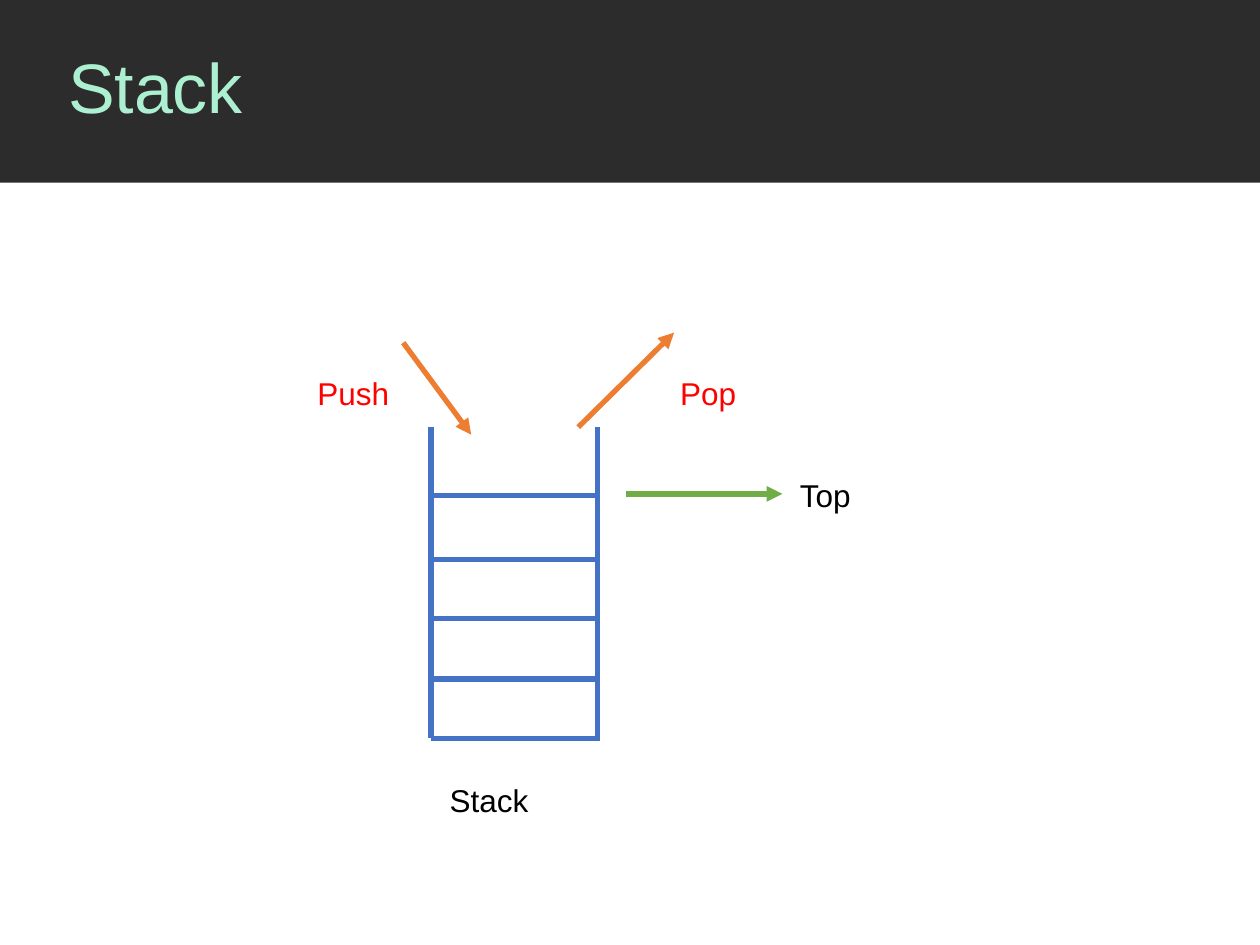
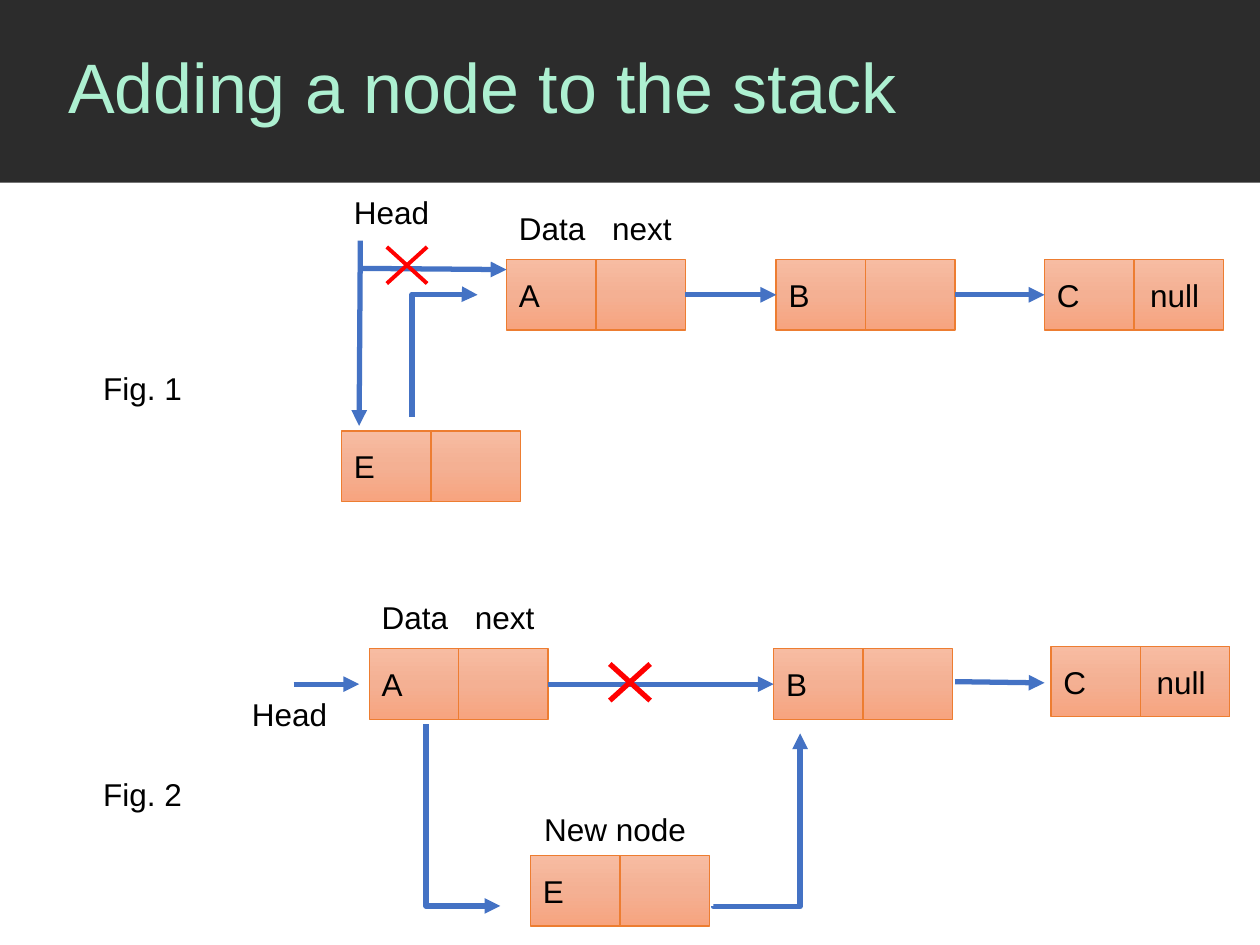
from copy import deepcopy

from pptx import Presentation
from pptx.dml.color import RGBColor
from pptx.enum.shapes import MSO_CONNECTOR as Conn, MSO_SHAPE as Geo
from pptx.enum.text import MSO_ANCHOR as Anchor, MSO_AUTO_SIZE as Fit, PP_ALIGN as Align
from pptx.oxml.ns import qn
from pptx.oxml.xmlchemy import OxmlElement as Elem
from pptx.util import Inches, Pt

FONT = "Arial"
DARK, MINT, BLACK, RED = "2C2C2C", "ADF0D1", "000000", "FF0000"
BLUE, ORANGE, GREEN = "4472C4", "ED7D31", "70AD47"
GRADE = {0: "F7BCA2", 0.5: "F4B093", 1: "F7A47F"}
NODE_W, NODE_H, TAB = 1.42, 0.56, 0.74
rgb = RGBColor.from_string


def write(shape, text, size=18, color=BLACK, **form):
    """Fill a shape with one left-aligned line; form holds text frame settings."""
    frame = shape.text_frame
    frame.word_wrap = True
    for key, val in form.items():
        setattr(frame, key, val)
    para = frame.paragraphs[0]
    para.alignment = Align.LEFT
    if "\t" in text:
        tabs = Elem("a:tabLst")
        stop = Elem("a:tab")
        stop.set("pos", str(Inches(TAB)))
        stop.set("algn", "l")
        tabs.append(stop)
        para._p.get_or_add_pPr().append(tabs)
    run = para.add_run()
    run.text = text
    for key, val in {"name": FONT, "size": Pt(size)}.items():
        setattr(run.font, key, val)
    run.font.color.rgb = rgb(color)
    return para


def draw(slide, ends, color=BLUE, width=3, arrow=False, kind=Conn.STRAIGHT):
    line = slide.shapes.add_connector(kind, *map(Inches, ends))
    line.line.color.rgb = rgb(color)
    line.line.width = Pt(width)
    prop = line.element.spPr
    if arrow:
        tail = Elem("a:tailEnd")
        tail.set("type", "triangle")
        prop.find(qn("a:ln")).append(tail)
    prop.append(Elem("a:effectLst"))
    return line


prs = Presentation()
prs.slide_width, prs.slide_height = Inches(10), Inches(7.5)

# Shared layout: dark band behind the title
plan = prs.slide_layouts[5]
head = plan.placeholders[0]
for key, val in {"left": 0.44, "top": 0, "width": 9.56, "height": 1.44}.items():
    setattr(head, key, Inches(val))

slides = []
for text in ("Stack", "Adding a node to the stack"):
    slide = prs.slides.add_slide(plan)
    para = write(slide.shapes.title, text, 40, MINT,
                 vertical_anchor=Anchor.MIDDLE, auto_size=Fit.NONE)
    para.line_spacing = 0.9
    slides.append(slide)
stack, adding = slides

band = stack.shapes.add_shape(Geo.RECTANGLE, 0, 0, Inches(10), Inches(1.45))
band.shadow.inherit = False
band.fill.solid()
band.fill.fore_color.rgb = rgb(DARK)
band.line.fill.background()
plan.shapes.element.insert(2, band.element)

# Labels
labels = [
    (stack, "Stack", 3.47, 6.15, 1.3, BLACK),
    (stack, "Push", 2.42, 2.92, 1.3, RED),
    (stack, "Top", 6.25, 3.73, 1.3, BLACK),
    (stack, "Pop", 5.3, 2.92, 1.3, RED),
    (adding, "Data\tnext", 4.02, 1.61, NODE_W, BLACK),
    (adding, "Head", 2.71, 1.48, 0.92, BLACK),
    (adding, "Data\tnext", 2.93, 4.7, NODE_W, BLACK),
    (adding, "Head", 1.9, 5.47, 0.92, BLACK),
    (adding, "New node", 4.22, 6.38, 1.38, BLACK),
    (adding, "Fig. 1", 0.72, 2.88, 1.01, BLACK),
    (adding, "Fig. 2", 0.72, 6.1, 1.01, BLACK),
]
for slide, text, x, y, wide, color in labels:
    box = slide.shapes.add_textbox(*map(Inches, (x, y, wide, 0.4)))
    write(box, text, color=color, auto_size=Fit.SHAPE_TO_FIT_TEXT)

# Stack: two walls, five rungs, three arrows
for x in (3.42, 4.74):
    draw(stack, (x, 3.39, x, 5.86))
for y in (5.86, 5.39, 4.91, 4.44, 3.93):
    draw(stack, (3.42, y, 4.76, y))
for ends, color in [((3.2, 2.72, 3.74, 3.45), ORANGE),
                    ((4.59, 3.39, 5.35, 2.64), ORANGE),
                    ((4.97, 3.92, 6.21, 3.92), GREEN)]:
    draw(stack, ends, color, arrow=True)

# Nodes of both lists
spots = {
    "A1": ("A", 4.02, 2.06), "B1": ("B", 6.16, 2.06),
    "C1": ("C\tnull", 8.29, 2.06), "E1": ("E", 2.71, 3.42),
    "A2": ("A", 2.93, 5.15), "B2": ("B", 6.14, 5.15),
    "C2": ("C\tnull", 8.34, 5.13), "E2": ("E", 4.21, 6.79),
}
nodes = {}
for key, (text, x, y) in spots.items():
    node = adding.shapes.add_shape(
        Geo.RECTANGLE, *map(Inches, (x, y, NODE_W, NODE_H)))
    node.shadow.inherit = False
    node.fill.gradient()
    node.fill.gradient_angle = 270
    stops = node.element.spPr.find(qn("a:gradFill")).find(qn("a:gsLst"))
    stops.insert(1, deepcopy(stops[0]))
    for stop, (place, color) in zip(node.fill.gradient_stops, GRADE.items()):
        stop.position = place
        stop.color.rgb = rgb(color)
    node.line.color.rgb = rgb(ORANGE)
    node.line.width = Pt(0.75)
    write(node, text, vertical_anchor=Anchor.MIDDLE)
    mid = x + NODE_W / 2
    draw(adding, (mid, y, mid, y + NODE_H), ORANGE, 0.75)
    nodes[key] = node

# Links from node to node
for one, two in (("A1", "B1"), ("B1", "C1"), ("A2", "B2")):
    link = draw(adding, (0, 0, 1, 1), arrow=True)
    link.begin_connect(nodes[one], 3)
    link.end_connect(nodes[two], 1)

# Loose arrows
for ends in [(2.86, 1.91, 2.85, 3.38), (2.86, 2.13, 4.02, 2.14),
             (7.58, 5.41, 8.29, 5.42), (2.33, 5.43, 2.85, 5.43)]:
    draw(adding, ends, arrow=True)

# Elbows: a quarter turn makes them run along the vertical first
for x1, y1, x2, y2, bend in [(3.27, 3.31, 3.79, 2.34, 100500),
                             (3.38, 5.75, 3.97, 7.19, 100000),
                             (5.66, 7.19, 6.35, 5.82, -400)]:
    cx, cy = (x1 + x2) / 2, (y1 + y2) / 2
    dx, dy = (x2 - x1) / 2, (y2 - y1) / 2
    elbow = draw(adding, (cx + dy, cy - dx, cx - dy, cy + dx),
                 arrow=True, kind=Conn.ELBOW)
    prop = elbow.element.spPr
    prop.find(qn("a:xfrm")).set("rot", str(270 * 60000))
    guide = Elem("a:gd")
    guide.set("name", "adj1")
    guide.set("fmla", f"val {bend}")
    prop.find(qn("a:prstGeom")).find(qn("a:avLst")).append(guide)

# Crosses over the broken links
for x, y, width in ((3.07, 1.96, 2.25), (4.84, 5.27, 3)):
    right, low = x + 0.32, y + 0.29
    draw(adding, (x, y, right, low), RED, width)
    draw(adding, (x, low, right, y), RED, width)

prs.save("out.pptx")
